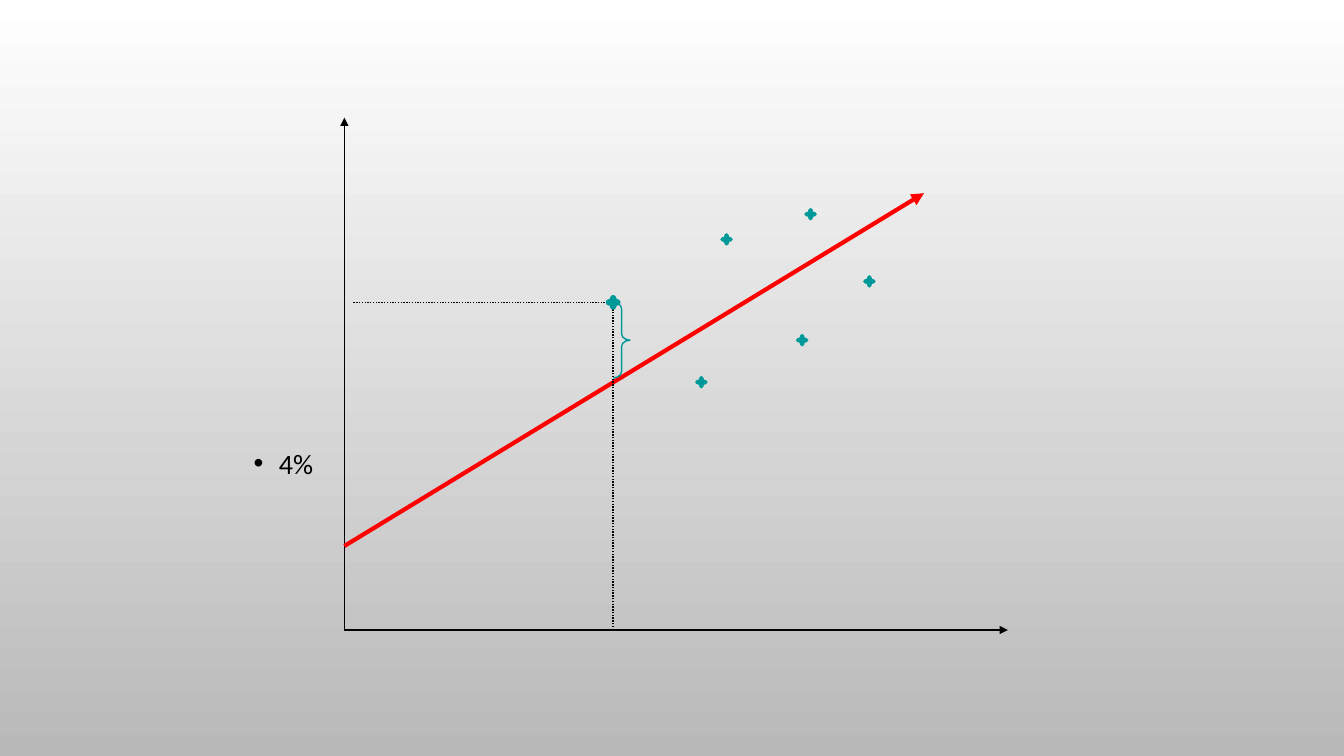
from dataclasses import dataclass

from lxml import etree
from pptx import Presentation
from pptx.dml.color import RGBColor
from pptx.enum.dml import MSO_LINE
from pptx.enum.shapes import MSO_CONNECTOR, MSO_SHAPE
from pptx.enum.text import MSO_ANCHOR, MSO_AUTO_SIZE, PP_ALIGN
from pptx.oxml.ns import qn
from pptx.util import Inches, Pt

STRAIGHT = MSO_CONNECTOR.STRAIGHT
STAR, BRACE = MSO_SHAPE.STAR_4_POINT, MSO_SHAPE.RIGHT_BRACE
DOTTED = MSO_LINE.ROUND_DOT
COLS, ROWS = 160, 90


@dataclass(frozen=True)
class Theme:
    ink: str = "000000"
    trend: str = "FF0000"
    point: str = "009999"
    point_fill: str = "2FA3EE"
    bg: tuple = ("FFFFFF", "B9B9B9")
    font: str = "Calibri"
    body_size: int = 20
    thin: float = 1
    thick: float = 3
    heavy: float = 4.5


def rgb(value):
    return RGBColor.from_string(value)


class Canvas:
    """Draws on one slide; lengths are columns and rows of the grid."""

    def __init__(self, prs, theme):
        self.theme = theme
        self.cell = prs.slide_height / ROWS
        self.slide = prs.slides.add_slide(prs.slide_layouts[1])
        title = self.slide.shapes.title._element
        title.getparent().remove(title)

    def grid(self, *lengths):
        return [round(n * self.cell) for n in lengths]

    def background(self):
        fill = self.slide.background.fill
        fill.gradient()
        fill.gradient_angle = 270
        for i, (stop, color) in enumerate(zip(fill.gradient_stops, self.theme.bg)):
            stop.position = i
            stop.color.rgb = rgb(color)

    def stroke(self, line, color, width):
        line.color.rgb = rgb(color)
        line.width = Pt(width)

    def line(self, start, end, color, width, dash=None, arrow=False):
        c = self.slide.shapes.add_connector(STRAIGHT, *self.grid(*start, *end))
        self.stroke(c.line, color, width)
        if dash:
            c.line.dash_style = dash
        if arrow:
            etree.SubElement(c.line._get_or_add_ln(), qn("a:tailEnd"), type="triangle")
        etree.SubElement(c._element.spPr, qn("a:effectLst"))

    def shape(self, kind, box, adjust, color, width, fill=None):
        sp = self.slide.shapes.add_shape(kind, *self.grid(*box))
        sp.shadow.inherit = False
        for i, value in enumerate(adjust):
            sp.adjustments[i] = value
        if fill:
            sp.fill.solid()
            sp.fill.fore_color.rgb = rgb(fill)
        else:
            sp.fill.background()
        self.stroke(sp.line, color, width)

    def point(self, x, y, width):
        self.shape(STAR, (x, y, 1, 1), [0.125], self.theme.point, width,
                   self.theme.point_fill)

    def bullet(self, text, box):
        sp = self.slide.placeholders[1]
        sp.left, sp.top, sp.width, sp.height = self.grid(*box)
        tf = sp.text_frame
        frame = dict(word_wrap=True, auto_size=MSO_AUTO_SIZE.NONE,
                     vertical_anchor=MSO_ANCHOR.TOP,
                     margin_left=Inches(0.1), margin_right=Inches(0.1),
                     margin_top=Inches(0.05), margin_bottom=Inches(0.05))
        for name, value in frame.items():
            setattr(tf, name, value)
        p = tf.paragraphs[0]
        p.alignment, p.line_spacing, p.space_before = PP_ALIGN.LEFT, 1.0, Pt(0)
        pPr = p._p.get_or_add_pPr()
        indent = Inches(0.25)
        pPr.set("marL", str(indent))
        pPr.set("indent", str(-indent))
        color = etree.SubElement(pPr, qn("a:buClr"))
        etree.SubElement(color, qn("a:srgbClr"), val=self.theme.ink)
        etree.SubElement(pPr, qn("a:buFont"), typeface="Arial")
        etree.SubElement(pPr, qn("a:buChar"), char="•")
        r = p.add_run()
        r.text = text
        for name, value in dict(name=self.theme.font, size=Pt(self.theme.body_size)).items():
            setattr(r.font, name, value)
        r.font.color.rgb = rgb(self.theme.ink)


def main():
    prs = Presentation()
    prs.slide_width, prs.slide_height = Inches(COLS / 12), Inches(ROWS / 12)
    theme = Theme()
    c = Canvas(prs, theme)
    c.background()

    # Axes and trend line
    origin, sample = (41, 75), (73, 36)
    for end in ((120, origin[1]), (origin[0], 14)):
        c.line(origin, end, theme.ink, theme.thin, arrow=True)
    c.line((origin[0], 65), (110, 23), theme.trend, theme.thick, arrow=True)

    # Axis label
    c.bullet("4%", (29, 52.5, 11, 6))

    # Scatter points
    for x, y in ((83, 45), (103, 33), (96, 25), (95, 40), (86, 28)):
        c.point(x, y, theme.thick)

    # Sample point with its guides and its distance to the trend line
    for start, end in ((sample, (42, sample[1])), ((sample[0], origin[1]), sample)):
        c.line(start, end, theme.ink, theme.thin, dash=DOTTED)
    c.shape(BRACE, (*sample, 2, 9), [0.375, 0.5], theme.point, theme.thin)
    c.point(sample[0] - 0.5, sample[1] - 0.5, theme.heavy)

    prs.save("out.pptx")


if __name__ == "__main__":
    main()
